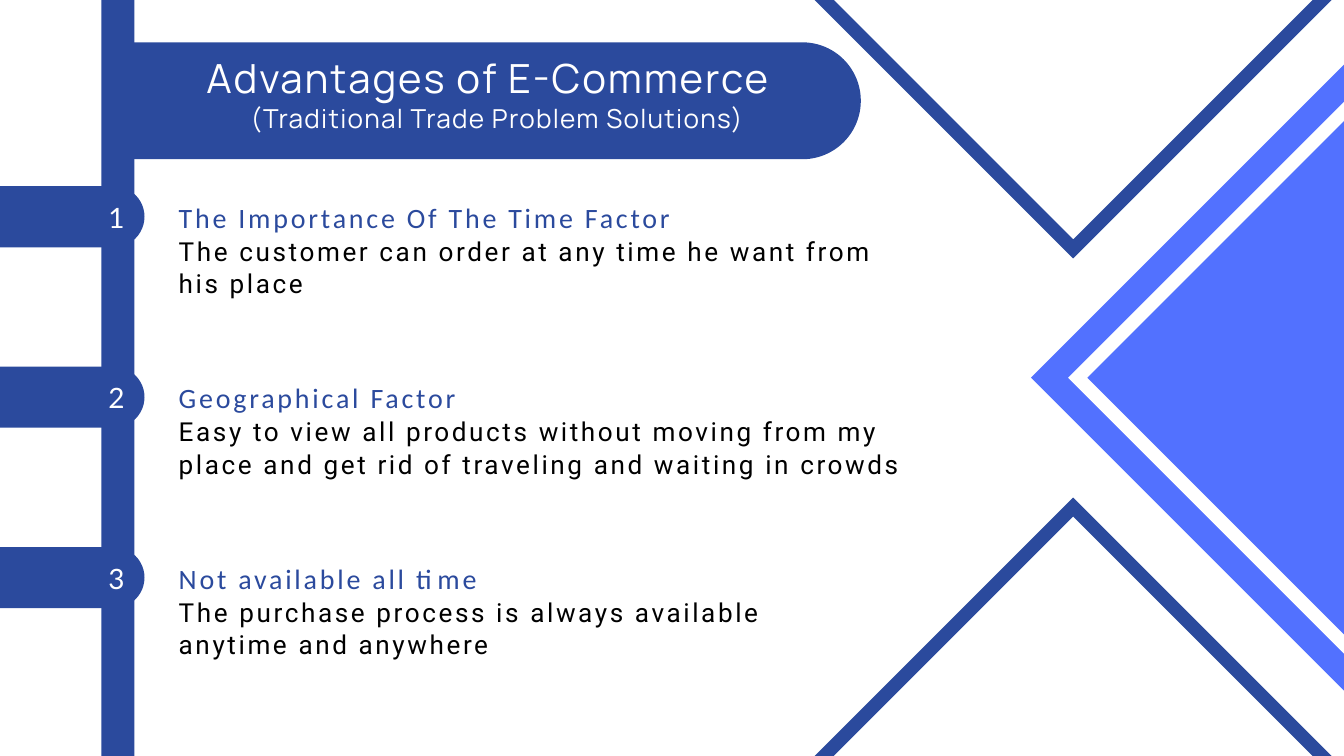
from dataclasses import dataclass

import pptx
import pptx.dml.color
import pptx.enum.shapes
import pptx.enum.text
import pptx.util

Inches = pptx.util.Inches
Pt = pptx.util.Pt
RGBColor = pptx.dml.color.RGBColor
MSO_SHAPE = pptx.enum.shapes.MSO_SHAPE
PP_ALIGN = pptx.enum.text.PP_ALIGN

NAVY = RGBColor(0x2B, 0x4A, 0x9D)
BLUE = RGBColor(0x52, 0x71, 0xFF)
WHITE = RGBColor(0xFF, 0xFF, 0xFF)
BLACK = RGBColor(0x00, 0x00, 0x00)

ITEM_TOP = 2.9
ITEM_PITCH = 2.685
TEXT_LEFT = 2.66


@dataclass
class Advantage:
    heading: str
    body: str
    body_width: float


@dataclass
class Diamond:
    """A square turned by 45 degrees; a frame when it is not solid."""
    cx: float
    cy: float
    side: float
    color: RGBColor
    solid: bool = False


ADVANTAGES = [
    Advantage("The Importance Of The Time Factor",
              "The customer can order at any time he want from his place", 10.4),
    Advantage("Geographical Factor",
              "Easy to view all products without moving from my place "
              "and get rid of traveling and waiting in crowds", 10.8),
    Advantage("Not available all time",
              "The purchase process is always available anytime and anywhere", 9.76),
]

DIAMONDS = [
    Diamond(20.42, 5.62, 7.18, BLUE, solid=True),
    Diamond(20.42, 5.62, 6.4, WHITE),
    Diamond(15.97, 12.17, 6.74, NAVY),
    Diamond(15.97, -0.92, 6.74, NAVY),
]


def add_filled(s, kind, left: float, top: float, width: float, height: float,
               color: RGBColor):
    sp = s.shapes.add_shape(kind, Inches(left), Inches(top),
                            Inches(width), Inches(height))
    sp.shadow.inherit = False
    sp.fill.solid()
    sp.fill.fore_color.rgb = color
    sp.line.fill.background()
    return sp


def add_diamond(s, d: Diamond) -> None:
    kind = MSO_SHAPE.RECTANGLE if d.solid else MSO_SHAPE.FRAME
    sp = add_filled(s, kind, d.cx - d.side / 2, d.cy - d.side / 2,
                    d.side, d.side, d.color)
    sp.rotation = 45
    if not d.solid:
        sp.adjustments[0] = 0.2 / d.side


def add_tab(s, left: float, top: float, width: float, height: float) -> None:
    """Add a bar with a half-round right end, as an upright shape turned clockwise."""
    cx, cy = left + width / 2, top + height / 2
    sp = add_filled(s, MSO_SHAPE.ROUND_2_SAME_RECTANGLE,
                    cx - height / 2, cy - width / 2, height, width, NAVY)
    sp.rotation = 90
    sp.adjustments[0] = 0.5
    sp.adjustments[1] = 0


def write_text(sp, text: str, *, font: str, size: float, color: RGBColor,
               leading: float, tracking: float, align=PP_ALIGN.LEFT) -> None:
    tf = sp.text_frame
    tf.word_wrap = True
    tf.auto_size = pptx.enum.text.MSO_AUTO_SIZE.NONE
    tf.vertical_anchor = pptx.enum.text.MSO_ANCHOR.TOP
    tf.margin_left = tf.margin_top = tf.margin_right = tf.margin_bottom = 0
    p = tf.paragraphs[0]
    p.alignment = align
    p.line_spacing = Pt(leading)
    p.space_before = Pt(0)
    r = p.add_run()
    r.text = text
    r.font.name = font
    r.font.size = Pt(size)
    r.font.color.rgb = color
    r._r.get_or_add_rPr().set("spc", str(round(tracking * 100)))


def add_text(s, left: float, top: float, width: float, height: float,
             text: str, **fmt) -> None:
    sp = s.shapes.add_textbox(Inches(left), Inches(top),
                              Inches(width), Inches(height))
    write_text(sp, text, **fmt)


def add_title(s) -> None:
    title = s.shapes.title
    title.left, title.top = Inches(2.08), Inches(0.88)
    title.width, title.height = Inches(10.35), Inches(0.68)
    write_text(title, "Advantages of E-Commerce", font="Manrope", size=43,
               color=WHITE, leading=45.1, tracking=2.1, align=PP_ALIGN.CENTER)
    # Bring the title in front of its banner
    title.element.getparent().append(title.element)
    add_text(s, 2.22, 1.58, 10.35, 0.45, "(Traditional Trade Problem Solutions)",
             font="Manrope", size=28, color=WHITE, leading=29.4, tracking=1.4,
             align=PP_ALIGN.CENTER)


def add_advantage(s, number: int, item: Advantage) -> None:
    top = ITEM_TOP + (number - 1) * ITEM_PITCH
    add_tab(s, 0, top - 0.13, 2.15, 0.91)
    add_text(s, 1.47, top, 0.53, 0.57, str(number), font="Lato", size=30,
             color=WHITE, leading=42, tracking=3, align=PP_ALIGN.CENTER)
    add_text(s, TEXT_LEFT, top, 9.76, 0.57, item.heading, font="Calibri",
             size=30, color=NAVY, leading=42, tracking=3)
    add_text(s, TEXT_LEFT, top + 0.58, item.body_width, 0.98, item.body,
             font="Roboto", size=28, color=BLACK, leading=35, tracking=2.8)


def main() -> None:
    prs = pptx.Presentation()
    prs.slide_width, prs.slide_height = Inches(20), Inches(11.25)
    s = prs.slides.add_slide(prs.slide_layouts[5])
    s.background.fill.solid()
    s.background.fill.fore_color.rgb = WHITE

    add_filled(s, MSO_SHAPE.RECTANGLE, 1.51, 0, 0.49, 11.25, NAVY)
    for diamond in DIAMONDS:
        add_diamond(s, diamond)
    add_tab(s, 1.99, 0.63, 10.82, 1.74)
    add_title(s)
    for number, item in enumerate(ADVANTAGES, start=1):
        add_advantage(s, number, item)

    prs.save("out.pptx")


if __name__ == "__main__":
    main()
